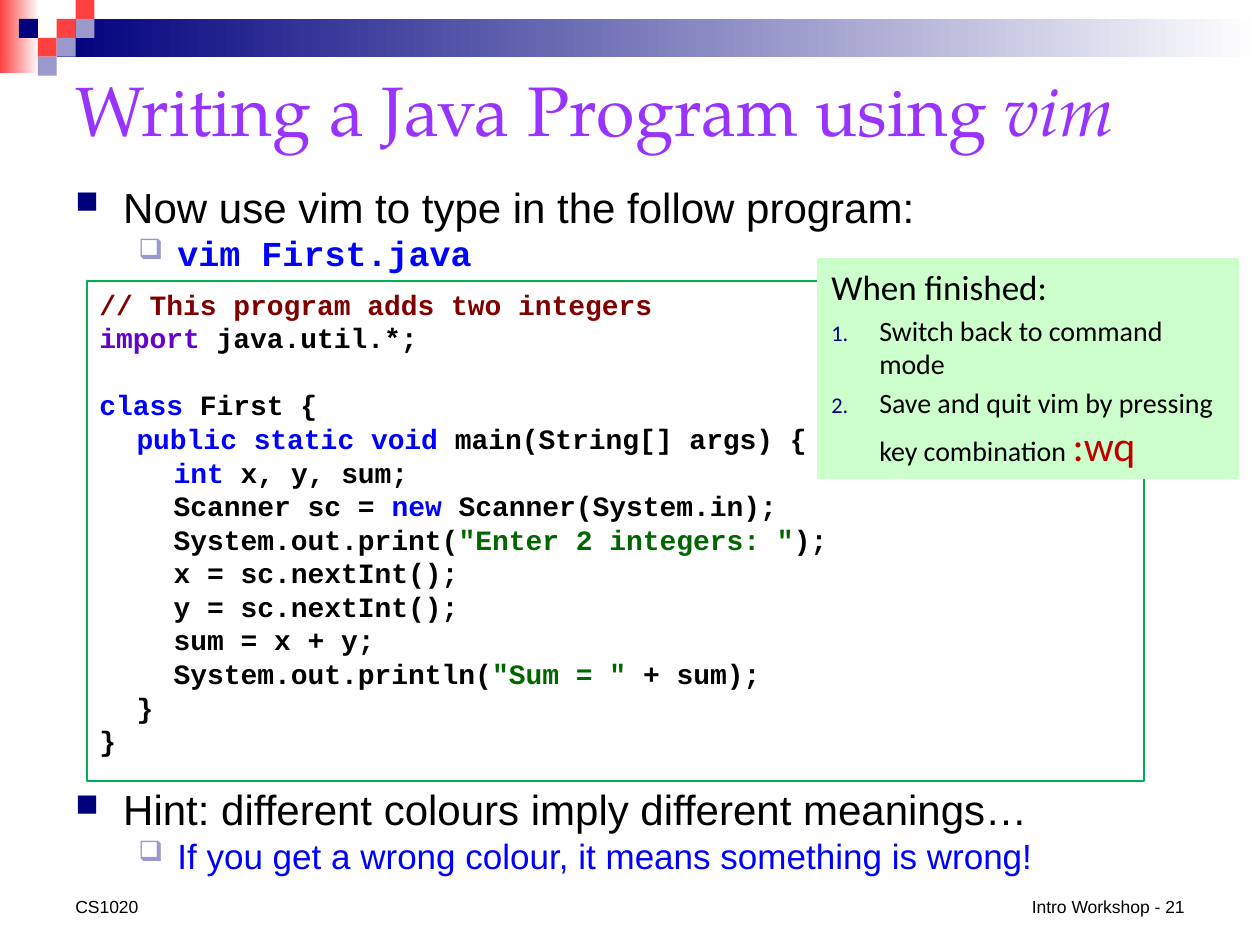
"""Build a slide on writing a first Java program in vim."""
from lxml import etree
from pptx import Presentation
from pptx.dml.color import RGBColor
from pptx.enum.shapes import MSO_SHAPE
from pptx.enum.text import MSO_ANCHOR, PP_ALIGN
from pptx.oxml.ns import qn
from pptx.util import Inches, Pt

WIDTH, HEIGHT = Inches(10), Inches(7.5)
BLACK, WHITE = RGBColor(0, 0, 0), RGBColor(255, 255, 255)
NAVY, RED = RGBColor(0, 0, 0x7D), RGBColor(0xFF, 0x40, 0x40)
LAVENDER, VIOLET = RGBColor(0x99, 0x99, 0xCC), RGBColor(0x99, 0x33, 0xFF)
BLUE, PURPLE = RGBColor(0, 0, 0xFF), RGBColor(0x66, 0, 0xCC)
MAROON, STRING = RGBColor(0x80, 0, 0), RGBColor(0, 0x66, 0)
BORDER, MINT = RGBColor(0, 0xB0, 0x50), RGBColor(0xCC, 0xFF, 0xCC)
CRIMSON = RGBColor(0xC0, 0, 0)

SANS, MONO, NOTE, SERIF = "Arial", "Courier New", "Calibri", "TeX Gyre Pagella"
PIXELS = [(3, 1, RED), (4, 0, RED), (4, 1, LAVENDER), (2, 2, RED),
          (1, 1, NAVY), (3, 2, LAVENDER), (2, 3, LAVENDER)]
CODE = [
    [("// This program adds two integers", MAROON)],
    [("import ", PURPLE), ("java.util.*;", BLACK)],
    [("class", BLUE), (" First {", BLACK)],
    [("\tpublic static void ", BLUE), ("main(String[] args) {", BLACK)],
    [("\t\t", BLACK), ("int", BLUE), (" x, y, sum;", BLACK)],
    [("\t\tScanner sc = ", BLACK), ("new", BLUE), (" Scanner(System.in);", BLACK)],
    [("\t\tSystem.out.print(", BLACK), ('"Enter 2 integers: "', STRING), (");", BLACK)],
    [("\t\tx = sc.nextInt();", BLACK)],
    [("\t\ty = sc.nextInt();", BLACK)],
    [("\t\tsum = x + y;", BLACK)],
    [("\t\tSystem.out.println(", BLACK), ('"Sum = " ', STRING), ("+ sum);", BLACK)],
    [("\t}", BLACK)],
    [("}", BLACK)],
]
CODE_LINE = Pt(19.2)
CODE_GAP_BEFORE = 2


def place(left, top, width, height):
    """Turn percentages of the slide into lengths."""
    return [round(share * side / 100) for share, side in
            zip((left, top, width, height), (WIDTH, HEIGHT) * 2)]


def add_panel(slide, area, colour, line=None, line_width=1):
    """Add a rectangle; a pair of colours gives a horizontal gradient."""
    panel = slide.shapes.add_shape(MSO_SHAPE.RECTANGLE, *place(*area))
    panel.shadow.inherit = False
    if isinstance(colour, RGBColor):
        panel.fill.solid()
        panel.fill.fore_color.rgb = colour
    else:
        panel.fill.gradient()
        panel.fill.gradient_angle = 0
        for stop, stop_colour in zip(panel.fill.gradient_stops, colour):
            stop.color.rgb = stop_colour
    if line is None:
        panel.line.fill.background()
    else:
        panel.line.color.rgb = line
        panel.line.width = Pt(line_width)
    return panel


def prepare_frame(shape, anchor=MSO_ANCHOR.TOP, wrap=True):
    """Set wrapping and anchoring and return the text frame."""
    frame = shape.text_frame
    frame.word_wrap = wrap
    frame.vertical_anchor = anchor
    return frame


def add_text(slide, area, **options):
    """Add a text box and return its frame."""
    return prepare_frame(slide.shapes.add_textbox(*place(*area)), **options)


def add_paragraph(frame, align=PP_ALIGN.LEFT):
    """Return the unused first paragraph or a new one."""
    first = frame.paragraphs[0]
    paragraph = frame.add_paragraph() if first.runs else first
    paragraph.alignment = align
    return paragraph


def add_run(paragraph, text, size, font=SANS, colour=BLACK, bold=False, italic=False):
    """Append a formatted run."""
    run = paragraph.add_run()
    run.text = text
    run.font.size, run.font.name = Pt(size), font
    run.font.bold, run.font.italic = bold, italic
    run.font.color.rgb = colour


def add_child(parent, tag, **attributes):
    """Append a drawing element."""
    values = {name: str(value) for name, value in attributes.items()}
    return etree.SubElement(parent, qn(tag), values)


def set_bullet(paragraph, colour, size, margin, hang, symbol=None):
    """Give a paragraph a symbol bullet, or a number when no symbol is given."""
    props = paragraph._p.get_or_add_pPr()
    props.set("marL", str(Inches(margin)))
    props.set("indent", str(-Inches(hang)))
    add_child(add_child(props, "a:buClr"), "a:srgbClr", val=colour)
    add_child(props, "a:buSzPct", val=size * 1000)
    if symbol:
        add_child(props, "a:buFont", typeface="Wingdings", charset=2)
        add_child(props, "a:buChar", char=symbol)
    else:
        add_child(props, "a:buFont", typeface="+mj-lt")
        add_child(props, "a:buAutoNum", type="arabicPeriod")


def add_banner(slide):
    """Draw the gradient bars and the squares of the header."""
    add_panel(slide, (0, 0, 3.1, 7.73), (RED, WHITE))
    add_panel(slide, (4.5, 2, 95.5, 4), (NAVY, WHITE))
    for column, row, colour in PIXELS:
        add_panel(slide, (column * 1.5, row * 2, 1.5, 2), colour)


def add_points(slide, top, point, subpoint, sub_font=SANS, sub_bold=False):
    """Add a bullet with one blue sub-bullet."""
    frame = add_text(slide, (5, top, 90, 11.2))
    main_line = add_paragraph(frame)
    main_line.space_before = Pt(3)
    set_bullet(main_line, NAVY, 75, 0.38, 0.38, "n")
    add_run(main_line, point, 24)
    sub_line = add_paragraph(frame)
    sub_line.level = 1
    set_bullet(sub_line, LAVENDER, 80, 0.81, 0.31, "q")
    add_run(sub_line, subpoint, 20, sub_font, BLUE, sub_bold)


def add_code(slide):
    """Add the framed program listing."""
    frame = prepare_frame(add_panel(slide, (6.9, 29.73, 83.9, 52.93), WHITE, BORDER, 0.75))
    for number, pieces in enumerate(CODE):
        line = add_paragraph(frame)
        line.line_spacing = CODE_LINE
        if number == CODE_GAP_BEFORE:
            line.space_before = CODE_LINE
        tabs = add_child(line._p.get_or_add_pPr(), "a:tabLst")
        for stop in range(1, 6):
            add_child(tabs, "a:tab", pos=round(stop * Inches(0.295)), algn="l")
        for text, colour in pieces:
            add_run(line, text, 16, MONO, colour, bold=True)


def add_note(slide):
    """Add the green box with the closing steps."""
    frame = prepare_frame(add_panel(slide, (65, 27.47, 33.2, 23.07), MINT, MINT, 2))
    heading = add_paragraph(frame)
    add_run(heading, "When finished:", 20, NOTE)
    for text in ("Switch back to command mode",
                 "Save and quit vim by pressing key combination "):
        step = add_paragraph(frame)
        set_bullet(step, NAVY, 80, 0.38, 0.38)
        add_run(step, text, 16, NOTE)
    add_run(step, ":wq", 24, NOTE, CRIMSON)
    for paragraph in frame.paragraphs:
        paragraph.space_after = Pt(3)


def add_footer(slide, left, width, text, align, wrap=True):
    """Add one small line at the foot of the slide."""
    frame = add_text(slide, (left, 94.13, width, 3.6), anchor=MSO_ANCHOR.BOTTOM, wrap=wrap)
    add_run(add_paragraph(frame, align), text, 10)


def main():
    """Assemble and save the slide."""
    deck = Presentation()
    deck.slide_width, deck.slide_height = WIDTH, HEIGHT
    slide = deck.slides.add_slide(deck.slide_layouts[6])
    add_banner(slide)
    title = add_paragraph(add_text(slide, (5, 5.6, 90, 11.73), anchor=MSO_ANCHOR.MIDDLE))
    add_run(title, "Writing a Java Program using ", 40, SERIF, VIOLET)
    add_run(title, "vim", 40, SERIF, VIOLET, italic=True)
    add_points(slide, 18.53, "Now use vim to type in the follow program:",
               "vim First.java", MONO, True)
    add_code(slide)
    add_points(slide, 82.27, "Hint: different colours imply different meanings…",
               "If you get a wrong colour, it means something is wrong!")
    add_note(slide)
    add_footer(slide, 5, 31.7, "CS1020", PP_ALIGN.LEFT)
    add_footer(slide, 80.7, 14.3, "Intro Workshop - 21", PP_ALIGN.RIGHT, wrap=False)
    deck.save("out.pptx")


main()
